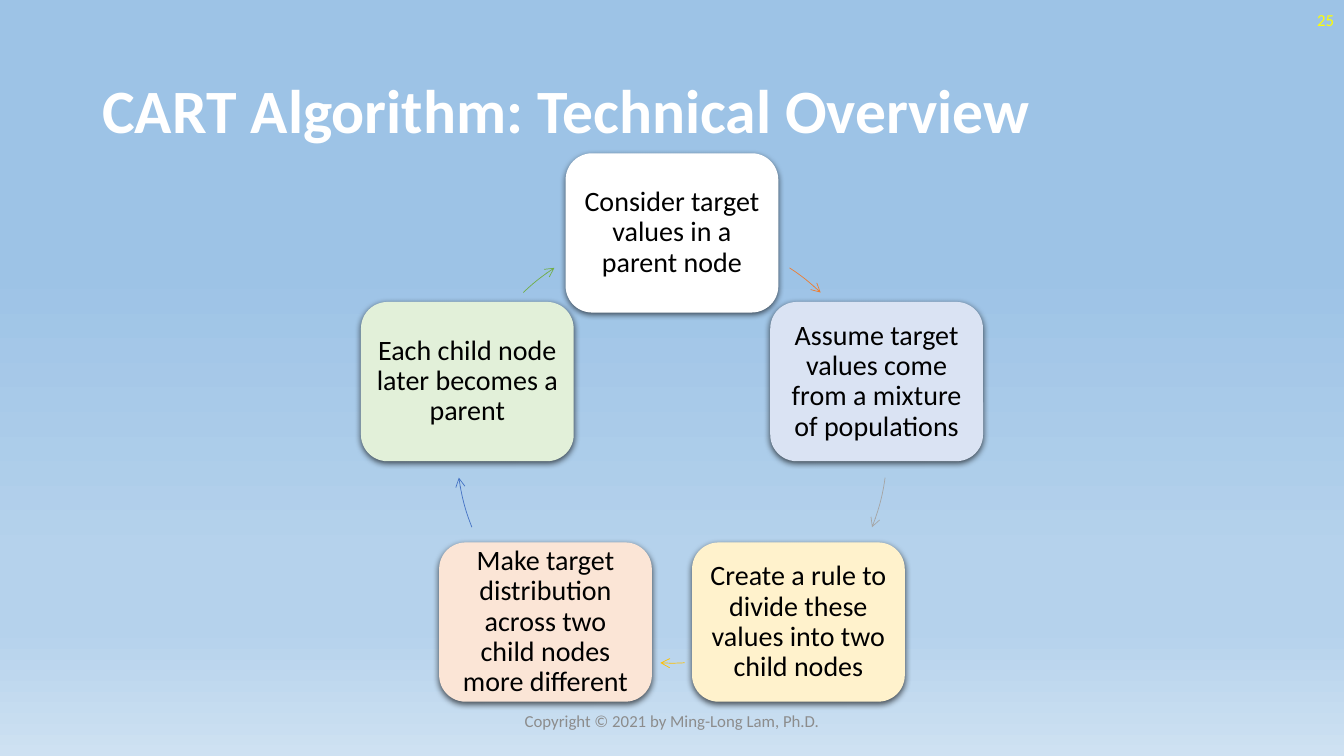
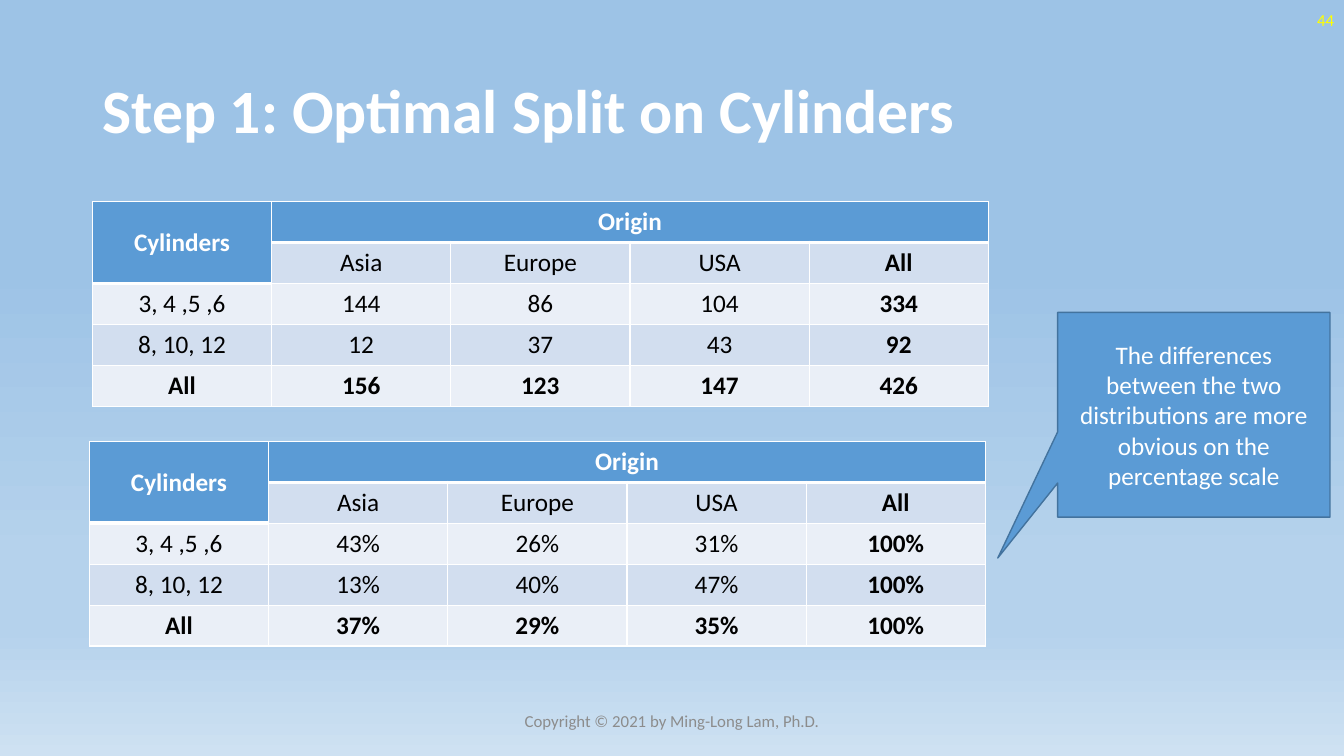
from math import cos, radians, sin

from lxml import etree
from pptx import Presentation
from pptx.dml.color import RGBColor
from pptx.enum.shapes import MSO_SHAPE
from pptx.enum.text import MSO_ANCHOR, PP_ALIGN
from pptx.oxml.ns import qn
from pptx.util import Inches, Pt

LEFT, MID, RIGHT = PP_ALIGN.LEFT, PP_ALIGN.CENTER, PP_ALIGN.RIGHT
CENTRE = MSO_ANCHOR.MIDDLE
ROUND, ARC = MSO_SHAPE.ROUNDED_RECTANGLE, MSO_SHAPE.ARC
CALLOUT = MSO_SHAPE.RECTANGULAR_CALLOUT

WIDE, HIGH = Inches(13.33), Inches(7.5)
FONT = "Calibri"
HUES = {
    "white": "FFFFFF", "black": "000000", "grey": "8C8C8C", "page": "FFFF00",
    "head": "5B9BD5", "edge": "43739E", "dark": "D2DEEF", "pale": "EAEFF7",
}
SKY = [(35, "9DC3E6"), (74, "B5D2EC"), (83, "B5D2EC"), (100, "CEE1F2")]

# Ring of steps, in shares (%) of the slide
HUB = (50, 59.27)
RING = 16.01
NODE = (15.83, 21.07)
# text, fill, colour of the arrow that follows, start and end of that arrow
# in degrees clockwise from the top
STEPS = [
    ("Consider target values in a parent node",
     "FFFFFF", "ED7D31", 33.1, 43.7),
    ("Assume target values come from a mixture of populations",
     "DAE3F3", "A5A5A5", 97.9, 111.6),
    ("Create a rule to divide these values into two child nodes",
     "FFF2CC", "FFC000", 176.6, 183.1),
    ("Make target distribution across two child nodes more different",
     "FBE5D6", "4472C4", 248.4, 262.1),
    ("Each child node later becomes a parent",
     "E2F0D9", "70AD47", 316.3, 326.9),
]

HEAD = [["Cylinders", "Origin", "", "", ""],
        ["", "Asia", "Europe", "USA", "All"]]
COUNTS = HEAD + [
    ["3, 4 ,5 ,6", "144", "86", "104", "334"],
    ["8, 10, 12", "12", "37", "43", "92"],
    ["All", "156", "123", "147", "426"],
]
RATES = HEAD + [
    ["3, 4 ,5 ,6", "43%", "26%", "31%", "100%"],
    ["8, 10, 12", "13%", "40%", "47%", "100%"],
    ["All", "37%", "29%", "35%", "100%"],
]


def area(x, y, w, h):
    """Turn shares (%) of the slide into lengths."""
    return [int(part * side / 100)
            for part, side in zip((x, y, w, h), (WIDE, HIGH) * 2)]


def rgb(hue):
    return RGBColor.from_string(HUES.get(hue, hue))


def sub(parent, tag, **attrs):
    node = etree.SubElement(parent, qn(tag))
    for key, value in attrs.items():
        node.set(key, str(value))
    return node


def write(frame, text, size, hue, align=MID, bold=False, lead=None):
    frame.text = text
    para = frame.paragraphs[0]
    para.alignment = align
    if lead:
        para.line_spacing = lead
    for run in para.runs:
        font = run.font
        font.name, font.size, font.bold = FONT, Pt(size), bold
        font.color.rgb = rgb(hue)


def label(slide, box, text, size, hue, align, **style):
    frame = slide.shapes.add_textbox(*area(*box)).text_frame
    frame.word_wrap = True
    frame.vertical_anchor = CENTRE
    write(frame, text, size, hue, align, **style)


def block(slide, kind, box, fill):
    shape = slide.shapes.add_shape(kind, *area(*box))
    shape.shadow.inherit = False
    shape.fill.solid()
    shape.fill.fore_color.rgb = rgb(fill)
    shape.line.fill.background()
    shape.text_frame.word_wrap = True
    shape.text_frame.vertical_anchor = CENTRE
    return shape


def shade(shape):
    """Give the shape a soft shadow straight below it."""
    glow = sub(shape.element.spPr.find(qn("a:effectLst")), "a:outerShdw",
               blurRad=Pt(4.5), dist=Pt(1.5), dir=5400000, algn="ctr",
               rotWithShape=0)
    sub(sub(glow, "a:srgbClr", val=HUES["black"]), "a:alpha", val=63000)


def step(slide, turn, text, fill):
    w, h = NODE
    x = HUB[0] + RING * sin(turn) - w / 2
    y = HUB[1] - RING * WIDE / HIGH * cos(turn) - h / 2
    shape = block(slide, ROUND, (x, y, w, h), fill)
    shade(shape)
    frame = shape.text_frame
    frame.margin_left = frame.margin_right = Inches(0.08)
    frame.margin_top = frame.margin_bottom = Inches(0.08)
    write(frame, text, 20, "black", lead=0.9)


def arrow(slide, hue, start, end):
    """Draw a part of the ring, with its head at the end angle."""
    tall = RING * WIDE / HIGH
    arc = slide.shapes.add_shape(ARC, *area(
        HUB[0] - RING, HUB[1] - tall, 2 * RING, 2 * tall))
    arc.shadow.inherit = False
    arc.fill.background()
    for i, turn in enumerate((start, end)):
        arc.adjustments[i] = (turn - 90) % 360 * 0.6
    arc.line.color.rgb = rgb(hue)
    arc.line.width = Pt(0.5)
    sub(arc.line._get_or_add_ln(), "a:tailEnd", type="arrow")


def rule(cell, top, bottom):
    """Draw white borders; top and bottom are widths in points."""
    props = cell._tc.get_or_add_tcPr()
    for side, width in zip("LRTB", (1, 1, top, bottom)):
        line = sub(props, f"a:ln{side}", w=Pt(width))
        sub(sub(line, "a:solidFill"), "a:srgbClr", val=HUES["white"])


def is_head(r, c):
    return r == 0 or (r, c) == (1, 0)


def grid(slide, x, y, rows):
    last, end = len(rows) - 1, len(rows[0]) - 1
    table = slide.shapes.add_table(
        last + 1, end + 1, *area(x, y, 66.67, 27.07)).table
    for r, row in enumerate(rows):
        for c, text in enumerate(row):
            cell, head = table.cell(r, c), is_head(r, c)
            above = r > 0 and is_head(r - 1, c)
            rule(cell, 3 if above else 1, 3 if head else 1)
            cell.fill.solid()
            band = "dark" if r % 2 else "pale"
            cell.fill.fore_color.rgb = rgb("head" if head else band)
            cell.vertical_anchor = CENTRE
            write(cell.text_frame, text, 18, "white" if head else "black",
                  bold=head or r == last or c == end)
    table.cell(0, 0).merge(table.cell(1, 0))
    table.cell(0, 1).merge(table.cell(0, end))


def paint(master):
    """Put the sky gradient behind every slide."""
    fill = master.background.fill
    fill.gradient()
    fill.gradient_angle = 270
    stops = master.element.cSld.find(".//" + qn("a:gsLst"))
    for old in list(stops):
        stops.remove(old)
    for place, hue in SKY:
        sub(sub(stops, "a:gs", pos=place * 1000), "a:srgbClr", val=hue)


def page(deck, title, number):
    slide = deck.slides.add_slide(deck.slide_layouts[6])
    label(slide, (6.88, 5.33, 86.25, 19.33), title, 44, "white", LEFT,
          bold=True, lead=0.9)
    label(slide, (33.13, 92.67, 33.75, 5.33),
          "Copyright © 2021 by Ming-Long Lam, Ph.D.", 12, "grey", MID)
    label(slide, (77.5, 0, 22.5, 5.33), number, 12, "page", RIGHT)
    return slide


def cycle(deck):
    slide = page(deck, "CART Algorithm: Technical Overview", "25")
    for i, (text, fill, hue, start, end) in enumerate(STEPS):
        step(slide, radians(i * 360 / len(STEPS)), text, fill)
        arrow(slide, hue, start, end)


def split(deck):
    slide = page(deck, "Step 1: Optimal Split on Cylinders", "44")
    grid(slide, 6.88, 26.67, COUNTS)
    grid(slide, 6.65, 58.4, RATES)
    note = block(slide, CALLOUT, (78.7, 41.33, 20.26, 27.07), "head")
    note.adjustments[0], note.adjustments[1] = -0.72, 0.7
    note.line.color.rgb = rgb("edge")
    note.line.width = Pt(1)
    write(note.text_frame, "The differences between the two distributions are "
          "more obvious on the percentage scale", 18, "white")


def main():
    deck = Presentation()
    deck.slide_width, deck.slide_height = WIDE, HIGH
    paint(deck.slide_master)
    cycle(deck)
    split(deck)
    deck.save("out.pptx")


if __name__ == "__main__":
    main()
